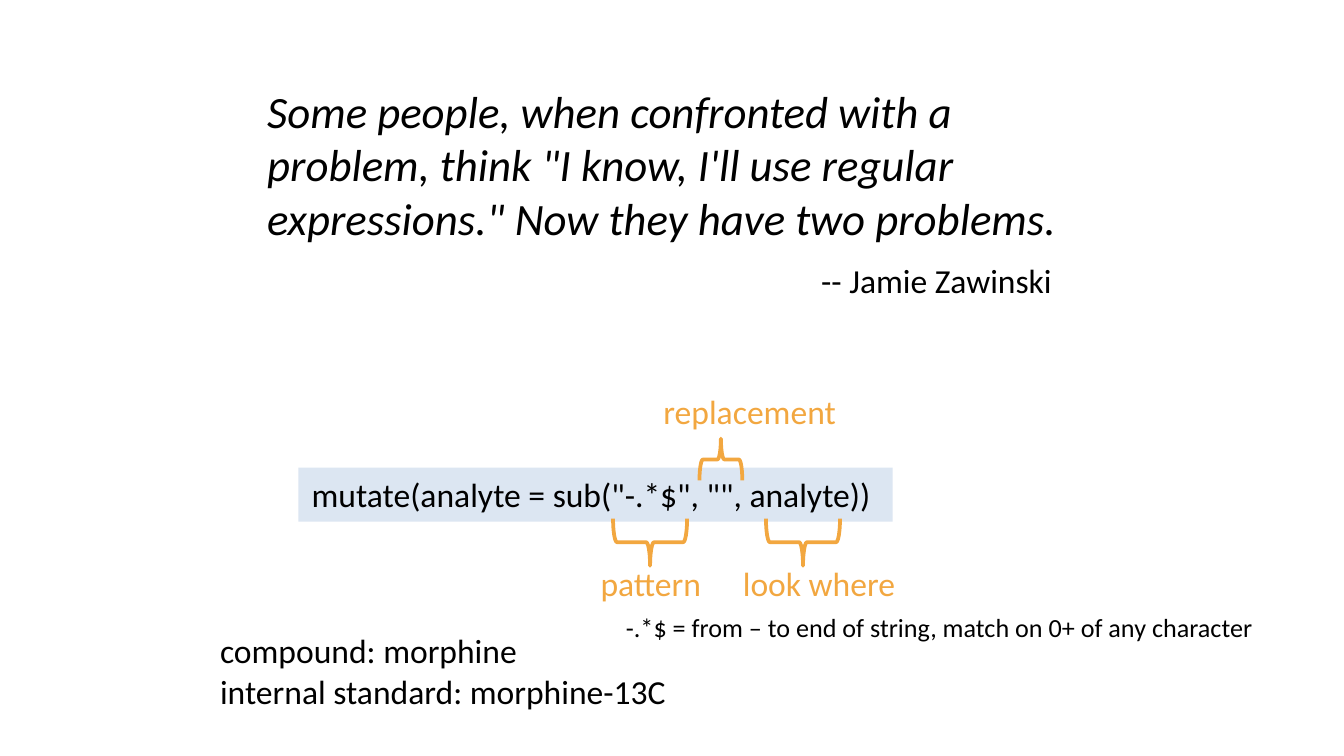
from dataclasses import dataclass

from pptx import Presentation
from pptx.dml.color import RGBColor
from pptx.enum.shapes import MSO_SHAPE
from pptx.enum.text import MSO_ANCHOR, MSO_AUTO_SIZE, PP_ALIGN
from pptx.slide import Slide
from pptx.text.text import TextFrame
from pptx.util import Cm, Pt

RECTANGLE = MSO_SHAPE.RECTANGLE
RIGHT_BRACE = MSO_SHAPE.RIGHT_BRACE
FIT_SHAPE = MSO_AUTO_SIZE.SHAPE_TO_FIT_TEXT
TOP = MSO_ANCHOR.TOP
LEFT = PP_ALIGN.LEFT

BLACK = RGBColor(0x00, 0x00, 0x00)
ORANGE = RGBColor(0xF2, 0xA7, 0x40)
PALE_BLUE = RGBColor(0xDC, 0xE6, 0xF2)

FONT = "Calibri"
BLANK_LAYOUT = 6
LINE_HEIGHT = 1.02
LABEL_TOP = 10.52
BRACE_TOP = 9.55
POINT_DOWN = 90
POINT_UP = 270


@dataclass(frozen=True)
class Caption:
    text: str
    left: float
    top: float
    width: float
    height: float = LINE_HEIGHT
    size: int = 18
    color: RGBColor = BLACK
    italic: bool = False
    wrap: bool = False


@dataclass(frozen=True)
class Brace:
    left: float
    top: float = BRACE_TOP
    width: float = 0.89
    height: float = 1.4
    rotation: int = POINT_DOWN


QUOTE = (
    "Some people, when confronted with a problem, think "
    "\"I know, I'll use regular expressions.\" Now they have two problems."
)
CODE = Caption('mutate(analyte = sub("-.*$", "", analyte))', 5.64, 8.84, 11.23)
CAPTIONS = (
    Caption(QUOTE, 4.8, 1.45, 15.98, 3.33, size=24, italic=True, wrap=True),
    Caption("-- Jamie Zawinski", 15.27, 4.78, 4.93),
    Caption("pattern", 11.1, LABEL_TOP, 2.46, color=ORANGE),
    Caption("replacement", 12.29, 7.26, 3.84, color=ORANGE),
    Caption("look where", 13.79, LABEL_TOP, 3.43, color=ORANGE),
    Caption(
        "compound: morphine\ninternal standard: morphine-13C",
        3.91, 11.79, 9.07, 1.8,
    ),
    Caption(
        "-.*$ = from – to end of string, match on 0+ of any character",
        11.58, 11.43, 12.42, 0.86, size=14,
    ),
)
BRACES = (
    Brace(11.84),
    Brace(14.73),
    Brace(13.23, 8.28, 0.79, 0.81, POINT_UP),
)


def write_text(frame: TextFrame, caption: Caption) -> None:
    frame.text = caption.text
    frame.word_wrap = caption.wrap
    frame.auto_size = FIT_SHAPE
    frame.vertical_anchor = TOP
    for para in frame.paragraphs:
        para.alignment = LEFT
        for span in para.runs:
            span.font.name = FONT
            span.font.size = Pt(caption.size)
            span.font.italic = caption.italic
            span.font.color.rgb = caption.color


def add_caption(page: Slide, caption: Caption) -> None:
    box = page.shapes.add_textbox(
        Cm(caption.left), Cm(caption.top), Cm(caption.width), Cm(caption.height)
    )
    write_text(box.text_frame, caption)


def add_code(page: Slide, code: Caption) -> None:
    box = page.shapes.add_shape(
        RECTANGLE, Cm(code.left), Cm(code.top), Cm(code.width), Cm(code.height)
    )
    box.shadow.inherit = False
    box.fill.solid()
    box.fill.fore_color.rgb = PALE_BLUE
    box.line.fill.background()
    write_text(box.text_frame, code)


def add_brace(page: Slide, brace: Brace) -> None:
    shape = page.shapes.add_shape(
        RIGHT_BRACE, Cm(brace.left), Cm(brace.top), Cm(brace.width), Cm(brace.height)
    )
    shape.rotation = brace.rotation
    shape.shadow.inherit = False
    shape.fill.background()
    shape.line.color.rgb = ORANGE
    shape.line.width = Pt(2)


def main() -> None:
    deck = Presentation()
    deck.slide_width = Cm(25.4)
    deck.slide_height = Cm(14.29)
    page = deck.slides.add_slide(deck.slide_layouts[BLANK_LAYOUT])
    add_code(page, CODE)
    for brace in BRACES:
        add_brace(page, brace)
    for caption in CAPTIONS:
        add_caption(page, caption)
    deck.save("out.pptx")


if __name__ == "__main__":
    main()
